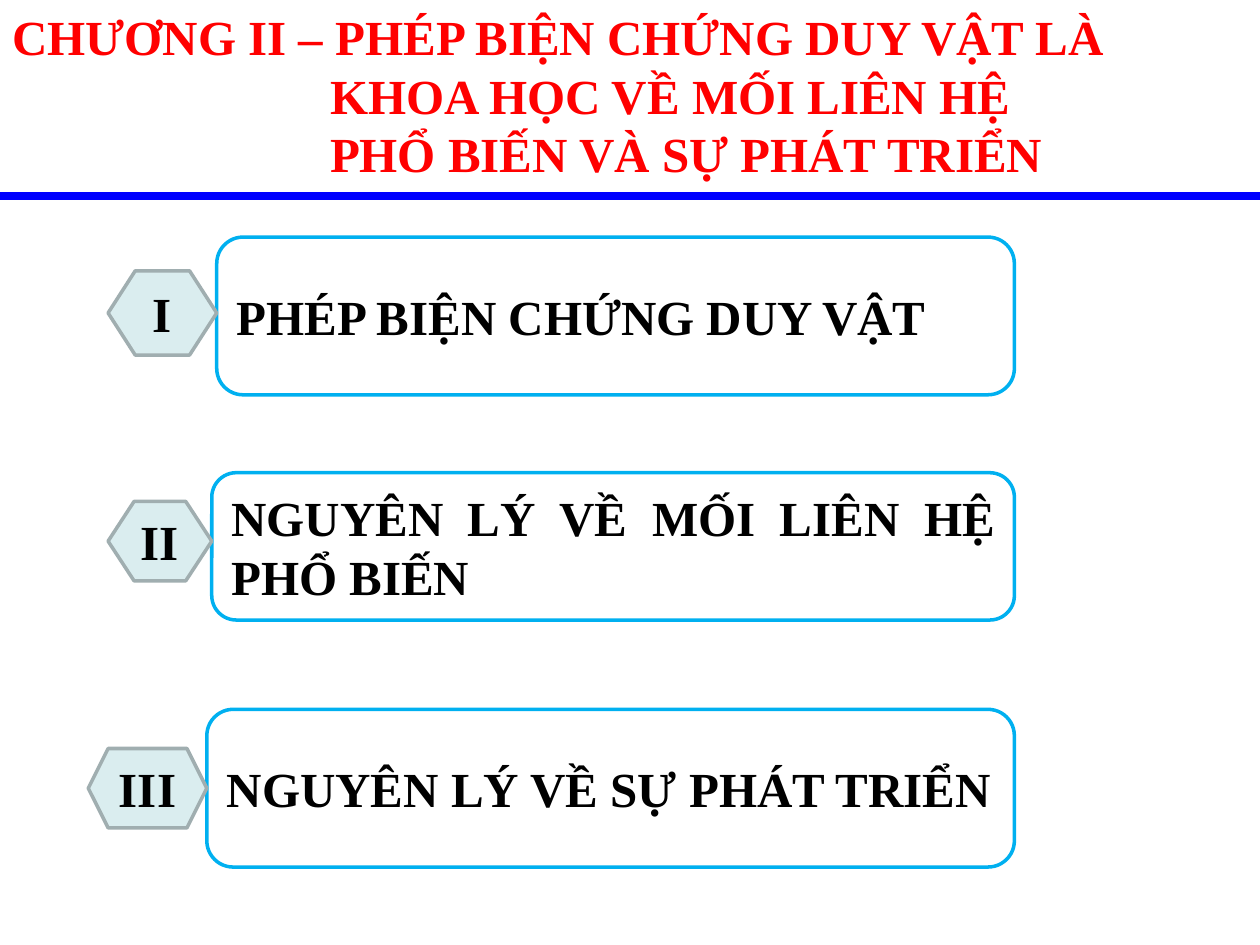
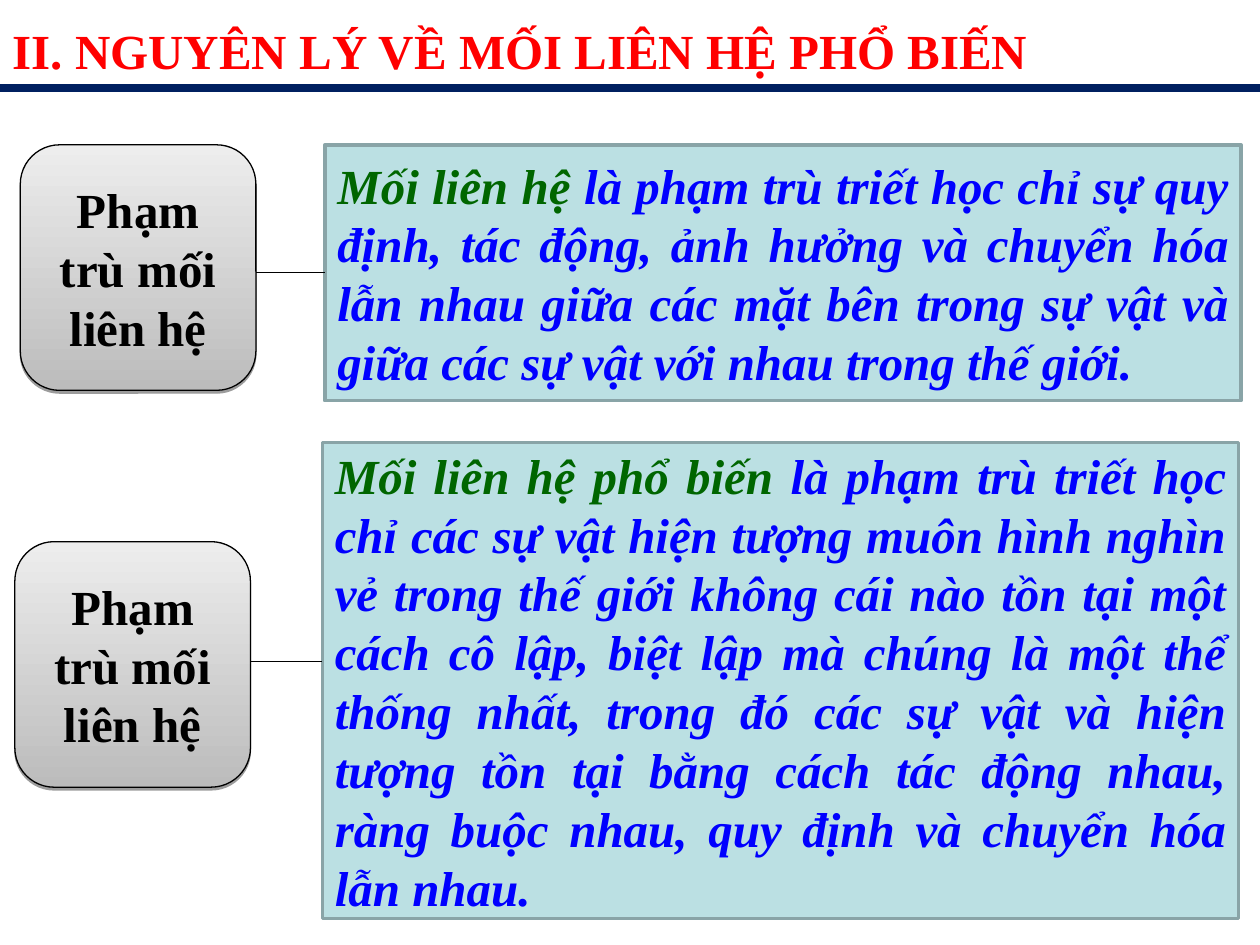
from lxml import etree
from pptx import Presentation
from pptx.dml.color import RGBColor
from pptx.enum import shapes as kinds, text as enums
from pptx.oxml import ns
from pptx.util import Cm, Pt

FONT = "Times New Roman"
SIZE = 28
WIDTH = 25.4
BLACK, WHITE, RED, BLUE = "000000", "FFFFFF", "FF0000", "0000FF"
NAVY, SKY, GREEN = "002060", "00B0F0", "006600"
MIST, STEEL = "DAEDEF", "A0AEB0"
AQUA, TEAL = "BBE0E3", "89A4A7"
DARK, LIGHT = "BCBCBC", "EDEDED"
RIGHT = 20.45
TERM = "Phạm trù mối liên hệ"
KIND = kinds.MSO_SHAPE
ALIGN = enums.PP_ALIGN

CHAPTER = [
    "CHƯƠNG II – PHÉP BIỆN CHỨNG DUY VẬT LÀ",
    "KHOA HỌC VỀ MỐI LIÊN HỆ",
    "PHỔ BIẾN VÀ SỰ PHÁT TRIỂN",
]
PARTS = [
    ("I", "PHÉP BIỆN CHỨNG DUY VẬT", (4.37, 4.78, 3.18), (2.18, 5.46, 1.7), 0.322),
    ("II", "NGUYÊN LÝ VỀ MỐI LIÊN HỆ PHỔ BIẾN", (4.27, 9.53, 2.97),
     (2.18, 10.11, 1.6), 0.327),
    ("III", "NGUYÊN LÝ VỀ SỰ PHÁT TRIỂN", (4.17, 14.3, 3.18), (1.78, 15.09, 1.6), 0.25),
]
TERMS = [
    ("Mối liên hệ ",
     "là phạm trù triết học chỉ sự quy định, tác động, ảnh hưởng và chuyển hóa "
     "lẫn nhau giữa các mặt bên trong sự vật và giữa các sự vật với nhau trong "
     "thế giới.",
     (6.55, 2.92, 18.47, 5.16), (0.41, 2.92), 5.5),
    ("Mối liên hệ phổ biến ",
     "là phạm trù triết học chỉ các sự vật hiện tượng muôn hình nghìn vẻ trong "
     "thế giới không cái nào tồn tại một cách cô lập, biệt lập mà chúng là một "
     "thể thống nhất, trong đó các sự vật và hiện tượng tồn tại bằng cách tác "
     "động nhau, ràng buộc nhau, quy định và chuyển hóa lẫn nhau.",
     (6.5, 8.92, 18.47, 9.6), (0.3, 10.92), 13.34),
]


def rgb(code):
    return RGBColor.from_string(code)


def style(font, color, italic=False):
    font.name = FONT
    font.size = Pt(SIZE)
    font.bold = True
    font.italic = italic
    font.color.rgb = rgb(color)


def write(para, pieces, align, italic=False):
    para.alignment = align
    for words, color in pieces:
        run = para.add_run()
        run.text = words
        style(run.font, color, italic)


def line(tree, start, end, color, width):
    link = tree.add_connector(kinds.MSO_CONNECTOR.STRAIGHT, *map(Cm, start + end))
    link.line.color.rgb = rgb(color)
    link.line.width = Pt(width)
    etree.SubElement(link._element.spPr, ns.qn("a:effectLst"))


def box(tree, kind, place, fill, edge, width, adjust=None):
    shape = tree.add_shape(kind, *map(Cm, place))
    shape.shadow.inherit = False
    if adjust is not None:
        shape.adjustments[0] = adjust
    if fill:
        shape.fill.solid()
        shape.fill.fore_color.rgb = rgb(fill)
    shape.line.color.rgb = rgb(edge)
    shape.line.width = Pt(width)
    frame = shape.text_frame
    frame.word_wrap = True
    frame.vertical_anchor = enums.MSO_ANCHOR.MIDDLE
    return shape


def head(slide, lines, top, height, rule, color, space=1.0, indent=0):
    line(slide.shapes, (0, rule), (WIDTH, rule), color, 4.5)
    title = slide.shapes.title
    title.left, title.top = Cm(0), Cm(top)
    title.width, title.height = Cm(WIDTH), Cm(height)
    frame = title.text_frame
    frame.text = "\n".join(lines)
    frame.word_wrap = True
    frame.auto_size = enums.MSO_AUTO_SIZE.NONE
    frame.vertical_anchor = enums.MSO_ANCHOR.TOP
    for index, para in enumerate(frame.paragraphs):
        para.alignment = ALIGN.JUSTIFY
        para.line_spacing = space
        if index:
            para._p.get_or_add_pPr().set("marL", str(Cm(indent)))
        for run in para.runs:
            style(run.font, RED)


def part(slide, mark, name, bar, badge, adjust):
    tree = slide.shapes.add_group_shape().shapes
    left, top, height = bar
    panel = box(tree, KIND.ROUNDED_RECTANGLE, (left, top, RIGHT - left, height),
                WHITE, SKY, 2, 0.167)
    write(panel.text_frame.paragraphs[0], [(name, BLACK)], ALIGN.JUSTIFY)
    start, top, height = badge
    hexa = box(tree, KIND.HEXAGON, (start, top, left - start, height),
               MIST, STEEL, 2, adjust)
    write(hexa.text_frame.paragraphs[0], [(mark, BLACK)], ALIGN.CENTER)


def shade(shape):
    fill = shape.fill
    fill.gradient()
    fill.gradient_angle = 90
    for stop, color in zip(fill.gradient_stops, (DARK, LIGHT)):
        stop.color.rgb = rgb(color)
    effect = shape._element.spPr.find(ns.qn("a:effectLst"))
    drop = etree.SubElement(effect, ns.qn("a:outerShdw"), dist=str(Pt(1.6)),
                            dir="5400000", rotWithShape="0")
    tint = etree.SubElement(drop, ns.qn("a:srgbClr"), val=BLACK)
    etree.SubElement(tint, ns.qn("a:alpha"), val="38000")


def define(slide, term, sense, card, key, level):
    tree = slide.shapes.add_group_shape().shapes
    panel = box(tree, KIND.RECTANGLE, card, AQUA, TEAL, 2)
    write(panel.text_frame.paragraphs[0], [(term, GREEN), (sense, BLUE)],
          ALIGN.JUSTIFY, True)
    width = 4.75
    label = box(tree, KIND.ROUNDED_RECTANGLE, key + (width, 4.95),
                None, BLACK, 0.75, 0.167)
    shade(label)
    write(label.text_frame.paragraphs[0], [(TERM, BLACK)], ALIGN.CENTER)
    line(tree, (key[0] + width, level), (card[0], level), BLACK, 0.75)


def main():
    deck = Presentation()
    deck.slide_width, deck.slide_height = Cm(WIDTH), Cm(19.05)
    layout = deck.slide_layouts[5]

    slide = deck.slides.add_slide(layout)
    head(slide, CHAPTER, 0, 3.81, 3.96, BLUE, indent=6.4)
    for item in PARTS:
        part(slide, *item)

    slide = deck.slides.add_slide(layout)
    head(slide, ["II. NGUYÊN LÝ VỀ MỐI LIÊN HỆ PHỔ BIẾN"], 0.05, 1.68, 1.78, NAVY, 1.2)
    for item in TERMS:
        define(slide, *item)

    deck.save("out.pptx")


if __name__ == "__main__":
    main()
